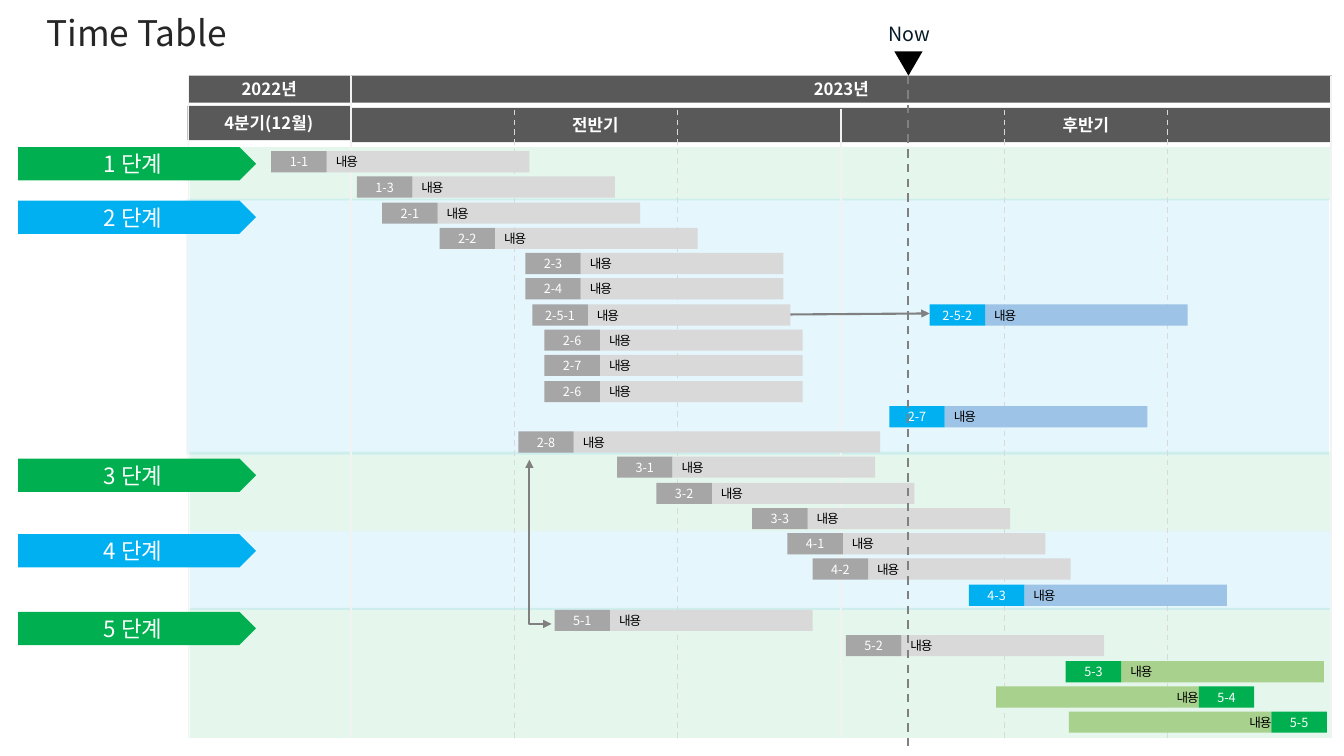
from dataclasses import dataclass
from typing import NamedTuple, Optional

from lxml import etree
from pptx import Presentation
from pptx import util as u
from pptx.dml import color
from pptx.enum import dml, shapes, text
from pptx.oxml import ns

PX = 9144  # EMU in one px: 100 px to the inch


@dataclass(frozen=True)
class Theme:
    font: str = "Noto Sans CJK KR"
    title: str = "262626"
    now: str = "051A27"
    black: str = "000000"
    white: str = "FFFFFF"
    header: str = "595959"
    green: str = "00B050"
    blue: str = "00B0F0"
    solid_grid: str = "F2F2F2"
    dashed_grid: str = "D9D9D9"
    arrow: str = "808080"
    title_size: float = 25.2
    stage_size: int = 16
    now_size: int = 14
    header_size: int = 12
    task_size: int = 9
    thin: float = 1
    thick: float = 1.5


THEME = Theme()


class Box(NamedTuple):
    left: int
    top: int
    width: int
    height: int


class Band(NamedTuple):
    box: Box
    fill: str


class Header(NamedTuple):
    label: str
    box: Box


class Stage(NamedTuple):
    label: str
    top: int
    fill: str


class Status(NamedTuple):
    tag: str
    bar: str


class Task(NamedTuple):
    label: str
    row: int
    left: int
    status: Status
    bar_width: int = 201
    tag_last: bool = False


DONE = Status("A6A6A6", "D9D9D9")
ONGOING = Status(THEME.blue, "9DC3E6")
PLANNED = Status(THEME.green, "A9D18E")

BANDS = [
    Band(Box(188, 603, 1133, 129), THEME.green),
    Band(Box(188, 448, 1133, 79), THEME.green),
    Band(Box(188, 527, 1133, 78), THEME.blue),
    Band(Box(185, 197, 1133, 254), THEME.blue),
    Band(Box(188, 146, 1133, 53), THEME.green),
]
HEADERS = [
    Header("전반기", Box(348, 107, 485, 34)),
    Header("후반기", Box(833, 107, 488, 34)),
    Header("2022년", Box(187, 75, 160, 27)),
    Header("2023년", Box(348, 75, 973, 27)),
    Header("4분기(12월)", Box(186, 105, 161, 34)),
]
STAGES = [
    Stage("1 단계", 146, THEME.green),
    Stage("2 단계", 199, THEME.blue),
    Stage("3 단계", 455, THEME.green),
    Stage("4 단계", 530, THEME.blue),
    Stage("5 단계", 607, THEME.green),
]
TASKS = [
    Task("1-1", 0, 269, DONE),
    Task("1-3", 1, 354, DONE),
    Task("2-1", 2, 379, DONE),
    Task("2-2", 3, 436, DONE),
    Task("2-3", 4, 521, DONE),
    Task("2-4", 5, 521, DONE),
    Task("2-5-1", 6, 528, DONE),
    Task("2-5-2", 6, 922, ONGOING),
    Task("2-6", 7, 540, DONE),
    Task("2-7", 8, 540, DONE),
    Task("2-6", 9, 540, DONE),
    Task("2-7", 10, 882, ONGOING),
    Task("2-8", 11, 514, DONE, bar_width=304),
    Task("3-1", 12, 612, DONE),
    Task("3-2", 13, 651, DONE),
    Task("3-3", 14, 746, DONE),
    Task("4-1", 15, 781, DONE),
    Task("4-2", 16, 806, DONE),
    Task("4-3", 17, 961, ONGOING),
    Task("5-1", 18, 550, DONE),
    Task("5-2", 19, 839, DONE),
    Task("5-3", 20, 1057, PLANNED),
    Task("5-4", 21, 988, PLANNED, tag_last=True),
    Task("5-5", 22, 1060, PLANNED, tag_last=True),
]
FIRST_ROW, ROW_PITCH, BAR_HEIGHT, TAG_WIDTH = 150, 25.28, 21, 55
GRID_LEFT, GRID_PITCH, GRID_BOTTOM = 348, 162, 732


def rgb(value: str) -> color.RGBColor:
    return color.RGBColor.from_string(value)


def set_text(shape, label: str, size: float, ink: str, align=text.PP_ALIGN.CENTER,
             bold: bool = False, inset: Optional[int] = None):
    """Fill the shape with one run of text and return its paragraph."""
    frame = shape.text_frame
    frame.word_wrap = True
    frame.vertical_anchor = text.MSO_ANCHOR.MIDDLE
    if inset is not None:
        frame.margin_left = frame.margin_right = inset * PX
        frame.margin_top = frame.margin_bottom = 0
    paragraph = frame.paragraphs[0]
    paragraph.alignment = align
    run = paragraph.add_run()
    run.text = label
    run.font.name = THEME.font
    run.font.size = u.Pt(size)
    run.font.bold = bold
    run.font.color.rgb = rgb(ink)
    east_asian = etree.SubElement(run.font._element, ns.qn("a:ea"))
    east_asian.set("typeface", THEME.font)
    return paragraph


def add_block(slide, box: Box, fill: str, kind=shapes.MSO_SHAPE.RECTANGLE):
    shape = slide.shapes.add_shape(kind, *(length * PX for length in box))
    shape.shadow.inherit = False
    shape.fill.solid()
    shape.fill.fore_color.rgb = rgb(fill)
    shape.line.fill.background()
    return shape


def add_band(slide, band: Band) -> None:
    shape = add_block(slide, band.box, band.fill)
    tint = shape.element.spPr.find(".//" + ns.qn("a:srgbClr"))
    etree.SubElement(tint, ns.qn("a:alpha")).set("val", "10000")


def style_line(shape, ink: str, width: float, dashed: bool = False, ends: tuple = ()) -> None:
    """Format a line; ends names its arrowheads, headEnd before tailEnd."""
    shape.line.color.rgb = rgb(ink)
    shape.line.width = u.Pt(width)
    if dashed:
        shape.line.dash_style = dml.MSO_LINE.DASH
    outline = shape.element.spPr.find(ns.qn("a:ln"))
    for end in ends:
        etree.SubElement(outline, ns.qn("a:" + end)).set("type", "triangle")


def add_line(slide, start: tuple, finish: tuple, ink: str, width: float,
             dashed: bool = False, ends: tuple = ()) -> None:
    points = [length * PX for length in start + finish]
    connector = slide.shapes.add_connector(shapes.MSO_CONNECTOR.STRAIGHT, *points)
    style_line(connector, ink, width, dashed, ends)
    etree.SubElement(connector.element.spPr, ns.qn("a:effectLst"))


def add_grid(slide) -> None:
    for index in range(7):
        x = GRID_LEFT + index * GRID_PITCH
        if index % 3:
            add_line(slide, (x, 109), (x, GRID_BOTTOM), THEME.dashed_grid, THEME.thin, True)
        else:
            top = 108 if index == 3 else 75
            add_line(slide, (x, top), (x, GRID_BOTTOM), THEME.solid_grid, THEME.thin)
    add_line(slide, (187, 75), (187, GRID_BOTTOM), THEME.solid_grid, THEME.thin)


def add_task(slide, task: Task) -> None:
    top = round(FIRST_ROW + task.row * ROW_PITCH)
    bar_left = task.left if task.tag_last else task.left + TAG_WIDTH
    tag_left = task.left + task.bar_width if task.tag_last else task.left
    align = text.PP_ALIGN.RIGHT if task.tag_last else text.PP_ALIGN.LEFT
    bar = add_block(slide, Box(bar_left, top, task.bar_width, BAR_HEIGHT), task.status.bar)
    paragraph = set_text(bar, "내용", THEME.task_size, THEME.black, align, inset=0)
    paragraph._p.get_or_add_pPr().set("marL", str(9 * PX))
    paragraph.runs[0].font._element.set("spc", "-80")
    tag = add_block(slide, Box(tag_left, top, TAG_WIDTH, BAR_HEIGHT), task.status.tag)
    set_text(tag, task.label, THEME.task_size, THEME.white, inset=0)


def add_title(slide) -> None:
    title = slide.shapes.title
    title.left, title.top, title.width, title.height = (n * PX for n in (18, 11, 1295, 47))
    title.text_frame.auto_size = text.MSO_AUTO_SIZE.NONE
    paragraph = set_text(title, "Time Table", THEME.title_size, THEME.title,
                         text.PP_ALIGN.LEFT, inset=28)
    paragraph.line_spacing = 0.9


def add_dependencies(slide) -> None:
    builder = slide.shapes.build_freeform(525, 456, scale=PX)
    builder.add_line_segments([(525, 619), (547, 619)], close=False)
    elbow = builder.convert_to_shape()
    elbow.shadow.inherit = False
    elbow.fill.background()
    style_line(elbow, THEME.arrow, THEME.thick, ends=("headEnd", "tailEnd"))
    add_line(slide, (784, 312), (922, 311), THEME.arrow, THEME.thick, ends=("tailEnd",))


def add_now_marker(slide) -> None:
    pointer = add_block(slide, Box(887, 51, 28, 24), THEME.black,
                        shapes.MSO_SHAPE.ISOSCELES_TRIANGLE)
    pointer.rotation = 180
    label = slide.shapes.add_textbox(*(n * PX for n in (857, 16, 90, 34)))
    set_text(label, "Now", THEME.now_size, THEME.now)
    add_line(slide, (901, 75), (901, 740), THEME.arrow, THEME.thick, dashed=True)


def main() -> None:
    presentation = Presentation()
    presentation.slide_width, presentation.slide_height = 1333 * PX, 750 * PX
    slide = presentation.slides.add_slide(presentation.slide_layouts[5])
    add_title(slide)
    for band in BANDS:
        add_band(slide, band)
    for header in HEADERS:
        block = add_block(slide, header.box, THEME.header)
        set_text(block, header.label, THEME.header_size, THEME.white, bold=True, inset=0)
    add_grid(slide)
    for stage in STAGES:
        plate = add_block(slide, Box(18, stage.top, 236, 33), stage.fill,
                          shapes.MSO_SHAPE.PENTAGON)
        set_text(plate, stage.label, THEME.stage_size, THEME.white)
    for task in TASKS:
        add_task(slide, task)
    add_dependencies(slide)
    add_now_marker(slide)
    presentation.save("out.pptx")


if __name__ == "__main__":
    main()
